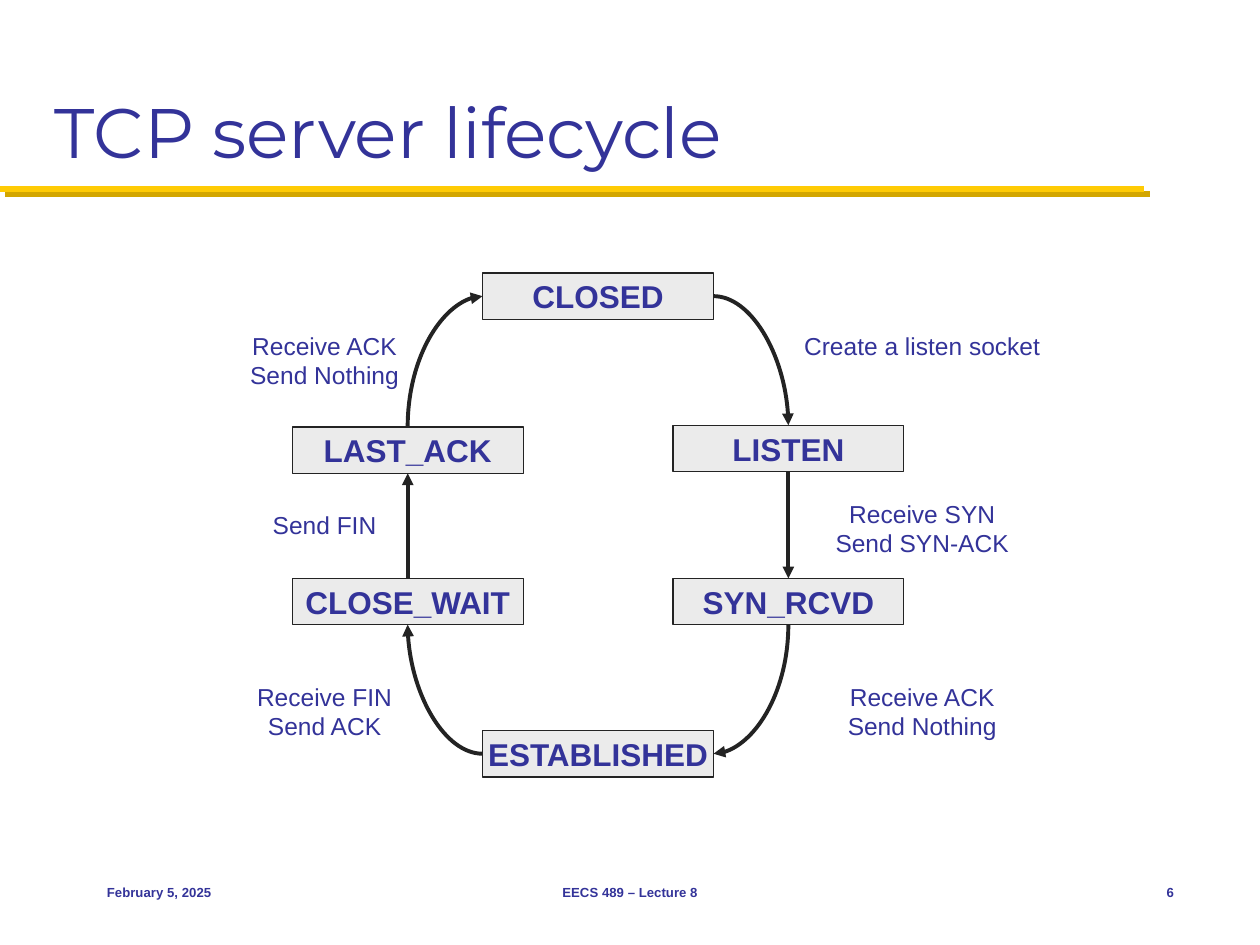
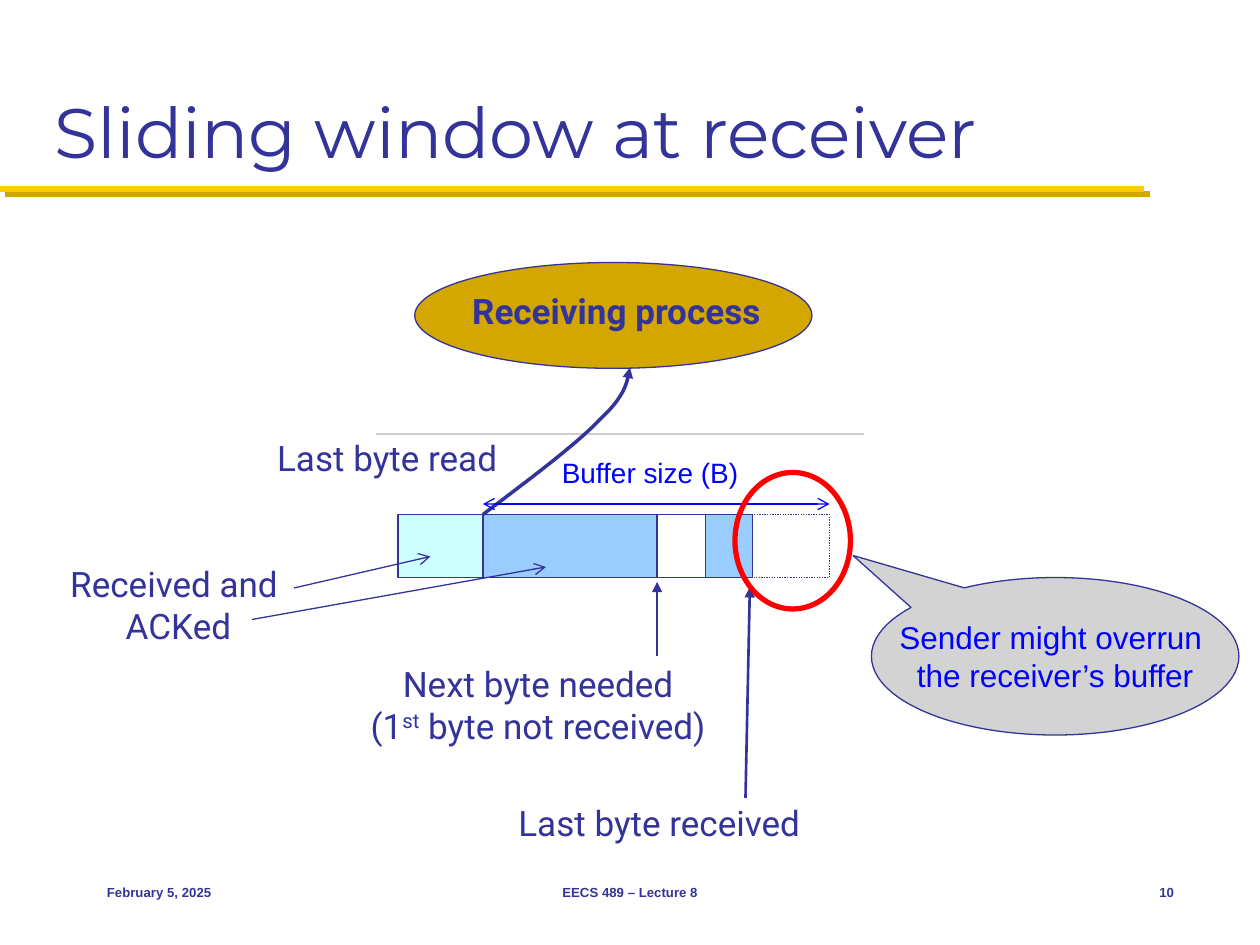
from itertools import pairwise

from lxml.etree import SubElement
from pptx import Presentation
from pptx.dml.color import RGBColor
from pptx.enum.dml import MSO_LINE
from pptx.enum.shapes import MSO_CONNECTOR, MSO_SHAPE
from pptx.enum.text import MSO_ANCHOR, PP_ALIGN
from pptx.oxml.ns import qn
from pptx.util import Pt

NAVY = RGBColor(0x33, 0x33, 0x99)
MAIZE = RGBColor(0xFF, 0xCB, 0x05)
GOLD = RGBColor(0xD3, 0xA6, 0x00)
INK = RGBColor(0x23, 0x23, 0x23)
STATE_GREY = RGBColor(0xEB, 0xEB, 0xEB)
RULE_GREY = RGBColor(0xCE, 0xCE, 0xCE)
CALLOUT_GREY = RGBColor(0xD3, 0xD3, 0xD3)
AQUA = RGBColor(0xCC, 0xFF, 0xFF)
SKY = RGBColor(0x99, 0xCC, 0xFF)
WHITE = RGBColor(0xFF, 0xFF, 0xFF)
BLUE = RGBColor(0x00, 0x00, 0xFF)
RED = RGBColor(0xFF, 0x00, 0x00)
TOP, LEFT, BOTTOM, RIGHT = range(4)


class LectureDeck:
    """Holds the lecture style and draws elements on the current slide."""

    def __init__(self):
        self.presentation = Presentation()
        self.presentation.slide_width = Pt(720)
        self.presentation.slide_height = Pt(540)
        self.shapes = None

    def start_slide(self, title, number):
        """Add a slide with the shared title, rule and footer."""
        layout = self.presentation.slide_layouts[6]
        self.shapes = self.presentation.slides.add_slide(layout).shapes
        rule = self.line((0, 108), (654, 108), MAIZE, 3.5)
        effects = rule._element.spPr.find(qn("a:effectLst"))
        shadow = SubElement(effects, qn("a:outerShdw"), dist=str(Pt(4.2)), dir="2700000", algn="ctr", rotWithShape="0")
        SubElement(shadow, qn("a:srgbClr"), val=str(GOLD))
        self.text(title, 24, 12, 672, 90, 40, "Montserrat", align=PP_ALIGN.LEFT, anchor=MSO_ANCHOR.BOTTOM, wrap=True)
        footers = (
            ("February 5, 2025", 54, 150, PP_ALIGN.LEFT),
            ("EECS 489 – Lecture 8", 246, 228, PP_ALIGN.CENTER),
            (str(number), 630, 48, PP_ALIGN.RIGHT),
        )
        for footer, left, width, align in footers:
            self.text(footer, left, 492, width, 36, 7.5, bold=True, align=align, anchor=MSO_ANCHOR.MIDDLE)

    def fill_text(self, shape, text, size, font, color, bold, align, anchor, wrap=False):
        """Set the styled text of a shape."""
        frame = shape.text_frame
        frame.text = text
        frame.word_wrap = wrap
        frame.vertical_anchor = anchor
        for paragraph in frame.paragraphs:
            paragraph.alignment = align
            paragraph.font.size = Pt(size)
            paragraph.font.name = font
            paragraph.font.bold = bold
            paragraph.font.color.rgb = color

    def text(self, text, left, top, width, height, size, font="Arial", color=NAVY, bold=False,
             align=PP_ALIGN.CENTER, anchor=MSO_ANCHOR.TOP, wrap=False):
        """Add a text box."""
        box = self.shapes.add_textbox(Pt(left), Pt(top), Pt(width), Pt(height))
        self.fill_text(box, text, size, font, color, bold, align, anchor, wrap)
        return box

    def outline(self, shape, fill, color, weight):
        """Set the fill and line of a shape and drop its shadow."""
        shape.shadow.inherit = False
        if fill is None:
            shape.fill.background()
        else:
            shape.fill.solid()
            shape.fill.fore_color.rgb = fill
        shape.line.color.rgb = color
        shape.line.width = Pt(weight)

    def shape(self, kind, left, top, width, height, fill=None, color=NAVY, weight=0.75):
        """Add a preset shape."""
        shape = self.shapes.add_shape(kind, Pt(left), Pt(top), Pt(width), Pt(height))
        self.outline(shape, fill, color, weight)
        return shape

    def state(self, name, left, top):
        """Add a box for a connection state."""
        box = self.shape(MSO_SHAPE.RECTANGLE, left, top, 132, 26.5, STATE_GREY, INK)
        self.fill_text(box, name, 18, "Arial", NAVY, True, PP_ALIGN.CENTER, MSO_ANCHOR.MIDDLE)
        return box

    def arrowheads(self, line, head, tail):
        """Put arrowheads on the ends of a line."""
        ends = line.line._get_or_add_ln()
        for tag, arrow in (("a:headEnd", head), ("a:tailEnd", tail)):
            if arrow:
                SubElement(ends, qn(tag), type=arrow)

    def line(self, start, end, color=NAVY, weight=0.75, head=None, tail=None, kind=MSO_CONNECTOR.STRAIGHT):
        """Add a connector between two points."""
        line = self.shapes.add_connector(kind, *map(Pt, (*start, *end)))
        line.line.color.rgb = color
        line.line.width = Pt(weight)
        self.arrowheads(line, head, tail)
        SubElement(line._element.spPr, qn("a:effectLst"))
        return line

    def transition(self, source, source_side, target, target_side, head=None, tail=None, curved=False):
        """Join two states with a straight arrow or a quarter turn."""
        kind = MSO_CONNECTOR.CURVE if curved else MSO_CONNECTOR.STRAIGHT
        arrow = self.line((0, 0), (0, 0), INK, 2.25, head, tail, kind)
        if curved:
            arrow._element.spPr.find(qn("a:prstGeom")).set("prst", "curvedConnector2")
        arrow.begin_connect(source, source_side)
        arrow.end_connect(target, target_side)

    def curve(self, start, segments, color, weight, tail, steps=16):
        """Add an open curve made of cubic segments."""
        points, origin = [], start
        for first, second, end in segments:
            for step in range(1, steps + 1):
                t = step / steps
                u = 1 - t
                points.append(tuple(
                    Pt(u**3 * a + 3 * u * u * t * b + 3 * u * t * t * c + t**3 * d)
                    for a, b, c, d in zip(origin, first, second, end)
                ))
            origin = end
        builder = self.shapes.build_freeform(Pt(start[0]), Pt(start[1]))
        builder.add_line_segments(points, close=False)
        curve = builder.convert_to_shape()
        self.outline(curve, None, color, weight)
        self.arrowheads(curve, None, tail)


def draw_lifecycle(deck):
    """Draw the states of a TCP server."""
    deck.start_slide("TCP server lifecycle", 6)
    left, middle, right = (167 + 108.75 * column for column in range(3))
    closed = deck.state("CLOSED", middle, 156)
    listen = deck.state("LISTEN", right, 243)
    syn_rcvd = deck.state("SYN_RCVD", right, 330.5)
    established = deck.state("ESTABLISHED", middle, 417.5)
    close_wait = deck.state("CLOSE_WAIT", left, 330.5)
    last_ack = deck.state("LAST_ACK", left, 244)

    deck.transition(closed, RIGHT, listen, TOP, tail="triangle", curved=True)
    deck.transition(listen, BOTTOM, syn_rcvd, TOP, tail="triangle")
    deck.transition(established, RIGHT, syn_rcvd, BOTTOM, head="triangle", curved=True)
    deck.transition(established, LEFT, close_wait, BOTTOM, tail="triangle", curved=True)
    deck.transition(close_wait, TOP, last_ack, BOTTOM, tail="triangle")
    deck.transition(closed, LEFT, last_ack, TOP, head="triangle", curved=True)

    closing_side, opening_side = 110.5, 452
    for event, column, top in (
        ("Create a listen socket", opening_side, 185.5),
        ("Receive SYN\nSend SYN-ACK", opening_side, 281.5),
        ("Receive ACK\nSend Nothing", opening_side, 386),
        ("Receive FIN\nSend ACK", closing_side, 386),
        ("Send FIN", closing_side, 288),
        ("Receive ACK\nSend Nothing", closing_side, 185.5),
    ):
        deck.text(event, column, top, 150, 24.5 + 16.5 * event.count("\n"), 14)


def draw_window(deck):
    """Draw the receive buffer and its byte markers."""
    deck.start_slide("Sliding window at receiver", 10)
    deck.shape(MSO_SHAPE.OVAL, 237, 150, 227, 60.5, GOLD)
    deck.text("Receiving process", 256.5, 162, 191.5, 31, 20, "Roboto", bold=True)
    deck.line((215, 248), (494, 248), RULE_GREY)

    buffer_edges = (227.5, 276, 375.5, 403, 430, 474)
    for (start, end), fill in zip(pairwise(buffer_edges), (AQUA, SKY, WHITE, SKY, None)):
        segment = deck.shape(MSO_SHAPE.RECTANGLE, start, 294, end - start, 36, fill)
        if fill is None:
            segment.line.dash_style = MSO_LINE.ROUND_DOT

    deck.curve((276, 294), (
        ((303, 273.5), (330, 253.5), (343.5, 239)),
        ((358, 225.5), (358.5, 217.5), (360, 210)),
    ), NAVY, 2, "triangle")
    deck.line((375.5, 375), (375.5, 332.5), weight=1.5, tail="triangle")
    deck.line((426, 456), (428.5, 335.5), weight=1.5, tail="triangle")
    deck.line((168, 336), (246, 318), tail="arrow")
    deck.line((144, 354), (312, 324), tail="arrow")
    deck.line((276, 288), (474, 288), BLUE, head="arrow", tail="arrow")

    next_byte = deck.text("Next byte needed\v(1", 203, 375, 209, 55.5, 20, "Roboto")
    paragraph = next_byte.text_frame.paragraphs[0]
    ordinal = paragraph.add_run()
    ordinal.text = "st"
    ordinal._r.get_or_add_rPr().set("baseline", "30000")
    paragraph.add_run().text = " byte not received)"
    deck.text("Last byte read", 150, 246, 142.5, 31.5, 20, "Roboto")
    deck.text("Last byte received", 287.5, 454.5, 178.5, 31.5, 20, "Roboto")
    deck.text("Received and \vACKed", 33, 318, 138, 55.5, 20, "Roboto")
    deck.text("Buffer size (B)", 314, 256.5, 142, 31.5, 16, color=BLUE, align=PP_ALIGN.LEFT)

    deck.shape(MSO_SHAPE.OVAL, 420, 270, 66, 78, color=RED, weight=3)
    warning = deck.shape(MSO_SHAPE.OVAL_CALLOUT, 498, 330, 210, 90, CALLOUT_GREY)
    warning.adjustments[0] = -0.55
    warning.adjustments[1] = -0.64
    deck.fill_text(warning, "Sender might overrun \vthe receiver’s buffer", 18, "Arial", BLUE, False,
                   PP_ALIGN.CENTER, MSO_ANCHOR.MIDDLE)


def main():
    """Build and save the slides."""
    deck = LectureDeck()
    draw_lifecycle(deck)
    draw_window(deck)
    deck.presentation.save("out.pptx")


if __name__ == "__main__":
    main()
